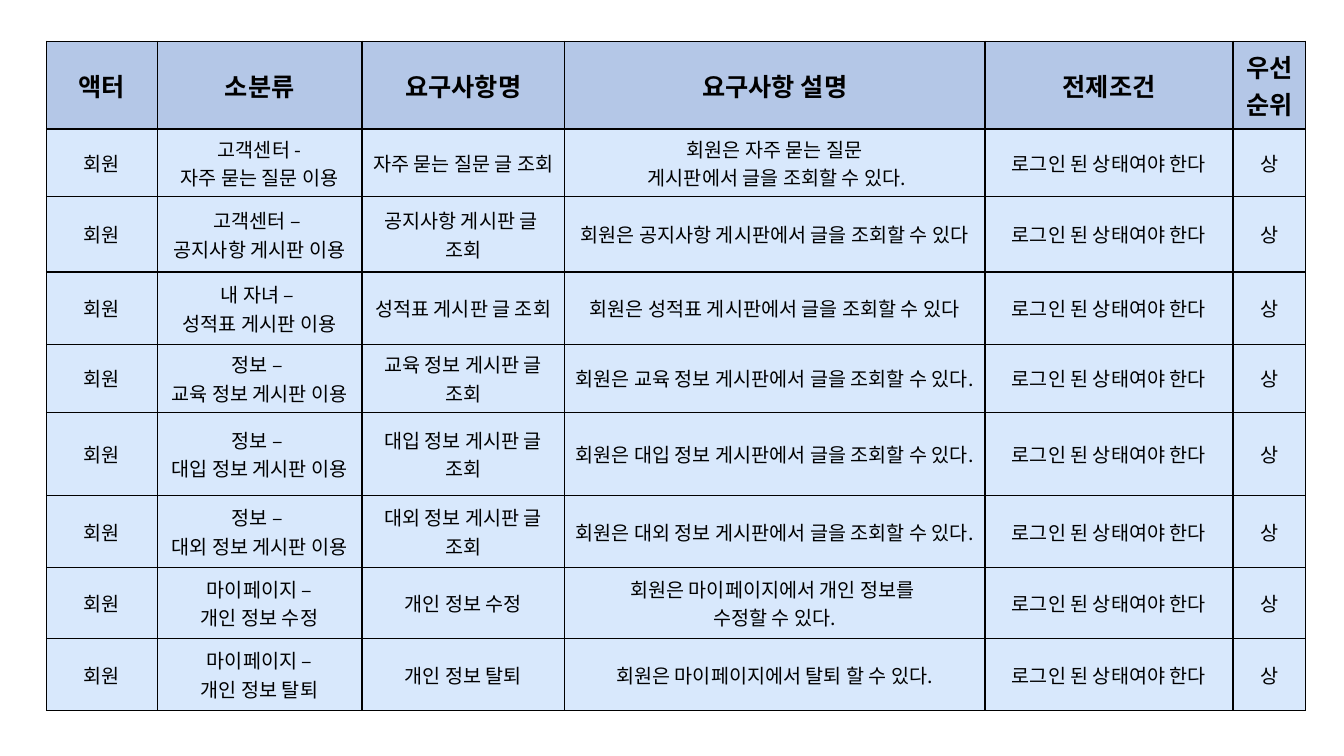
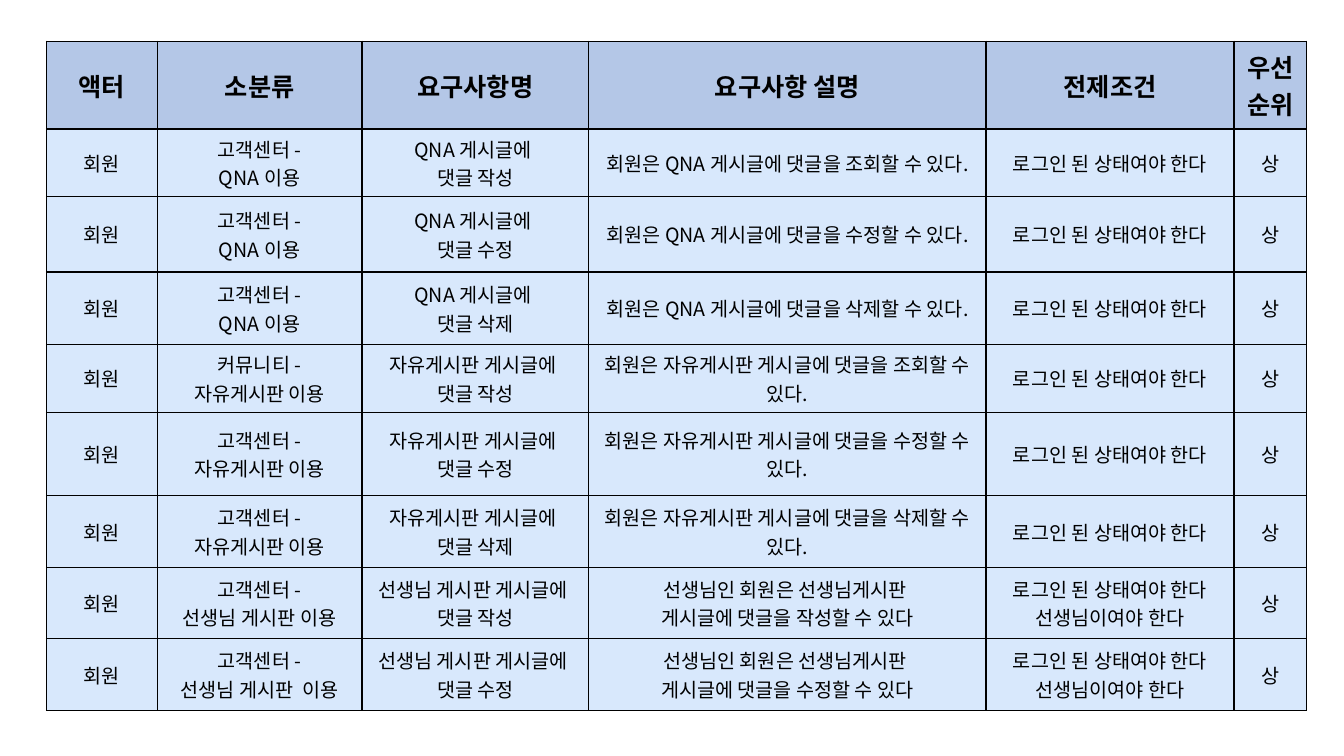
from lxml import etree
from pptx import Presentation
from pptx.dml.color import RGBColor
from pptx.enum.text import MSO_ANCHOR, PP_ALIGN
from pptx.oxml.ns import qn
from pptx.util import Inches, Pt

BLACK = RGBColor(0x00, 0x00, 0x00)
HEADER_BLUE = RGBColor(0xB4, 0xC7, 0xE7)
BODY_BLUE = RGBColor(0xD8, 0xE8, 0xFC)
MIDDLE = MSO_ANCHOR.MIDDLE
CENTER = PP_ALIGN.CENTER
FONT_NAME = "Noto Sans CJK KR"
HEADER_FONT = {"name": FONT_NAME, "size": Pt(18), "bold": True}
BODY_FONT = {"name": FONT_NAME, "size": Pt(14), "bold": False}

HEADERS = ["액터", "소분류", "요구사항명", "요구사항 설명", "전제조건", "우선순위"]
ROW_HEIGHTS = [0.87, 0.67, 0.75, 0.72, 0.67, 0.83, 0.71, 0.71, 0.71]
ACTOR = "회원"
PRIORITY = "상"
LOGIN = "로그인 된 상태여야 한다"
TEACHER_LOGIN = LOGIN + "\v선생님이여야 한다"

BOARD_REQUIREMENTS = [
    ("고객센터 -\n자주 묻는 질문 이용", "자주 묻는 질문 글 조회",
     "회원은 자주 묻는 질문\n 게시판에서 글을 조회할 수 있다.", LOGIN),
    ("고객센터 – \v공지사항 게시판 이용", "공지사항 게시판 글 \n조회",
     "회원은 공지사항 게시판에서 글을 조회할 수 있다", LOGIN),
    ("내 자녀 – \n성적표 게시판 이용", "성적표 게시판 글 조회",
     "회원은 성적표 게시판에서 글을 조회할 수 있다", LOGIN),
]
for topic in ["교육", "대입", "대외"]:
    BOARD_REQUIREMENTS.append((
        f"정보 – \v{topic} 정보 게시판 이용", f"{topic} 정보 게시판 글 조회",
        f"회원은 {topic} 정보 게시판에서 글을 조회할 수 있다.", LOGIN))
BOARD_REQUIREMENTS += [
    ("마이페이지 –\n개인 정보 수정", "개인 정보 수정",
     "회원은 마이페이지에서 개인 정보를 \v수정할 수 있다.", LOGIN),
    ("마이페이지 –\n개인 정보 탈퇴", "개인 정보 탈퇴",
     "회원은 마이페이지에서 탈퇴 할 수 있다.", LOGIN),
]

COMMENT_REQUIREMENTS = []
for board, first_section in [("QNA", "고객센터"), ("자유게시판", "커뮤니티")]:
    for section, action, ability in [(first_section, "작성", "조회"),
                                     ("고객센터", "수정", "수정"),
                                     ("고객센터", "삭제", "삭제")]:
        COMMENT_REQUIREMENTS.append((
            f"{section} -\n{board} 이용", f"{board} 게시글에 \v댓글 {action}",
            f"회원은 {board} 게시글에 댓글을 {ability}할 수 있다.", LOGIN))
for action, usage in [("작성", "게시판 이용"), ("수정", "게시판  이용")]:
    COMMENT_REQUIREMENTS.append((
        f"고객센터 -\n선생님 {usage}", f"선생님 게시판 게시글에 \v댓글 {action}",
        f"선생님인 회원은 선생님게시판 \v게시글에 댓글을 {action}할 수 있다",
        TEACHER_LOGIN))

SLIDES = [
    ([1.1, 2.03, 2.01, 4.17, 2.46, 0.72], BOARD_REQUIREMENTS),
    ([1.1, 2.03, 2.25, 3.94, 2.46, 0.72], COMMENT_REQUIREMENTS),
]


def add_borders(cell):
    properties = cell._tc.get_or_add_tcPr()
    for side in ["lnL", "lnR", "lnT", "lnB"]:
        line = etree.SubElement(properties, qn(f"a:{side}"), w=str(Pt(1)))
        fill = etree.SubElement(line, qn("a:solidFill"))
        etree.SubElement(fill, qn("a:srgbClr"), val=str(BLACK))


def format_cell(cell, text, fill_color, font_format):
    add_borders(cell)
    cell.fill.solid()
    cell.fill.fore_color.rgb = fill_color
    cell.vertical_anchor = MIDDLE
    cell.text_frame.text = text
    for paragraph in cell.text_frame.paragraphs:
        paragraph.alignment = CENTER
        for run in paragraph.runs:
            for attribute, value in font_format.items():
                setattr(run.font, attribute, value)
            run.font.color.rgb = BLACK
            latin = run._r.rPr.find(qn("a:latin"))
            east_asian = etree.Element(qn("a:ea"), typeface=FONT_NAME)
            latin.addnext(east_asian)


presentation = Presentation()
presentation.slide_width = Inches(13.33)
presentation.slide_height = Inches(7.5)
blank_layout = presentation.slide_layouts[6]

for column_widths, requirements in SLIDES:
    slide = presentation.slides.add_slide(blank_layout)
    table = slide.shapes.add_table(
        len(ROW_HEIGHTS), len(HEADERS), Inches(0.46), Inches(0.41),
        Inches(sum(column_widths)), Inches(sum(ROW_HEIGHTS))).table
    table.horz_banding = False
    for column, width in zip(table.columns, column_widths):
        column.width = Inches(width)
    for row, height in zip(table.rows, ROW_HEIGHTS):
        row.height = Inches(height)

    for cell, header in zip(table.rows[0].cells, HEADERS):
        format_cell(cell, header, HEADER_BLUE, HEADER_FONT)
    for row_index, requirement in enumerate(requirements, start=1):
        texts = [ACTOR, *requirement, PRIORITY]
        for cell, text in zip(table.rows[row_index].cells, texts):
            format_cell(cell, text, BODY_BLUE, BODY_FONT)

presentation.save("out.pptx")
